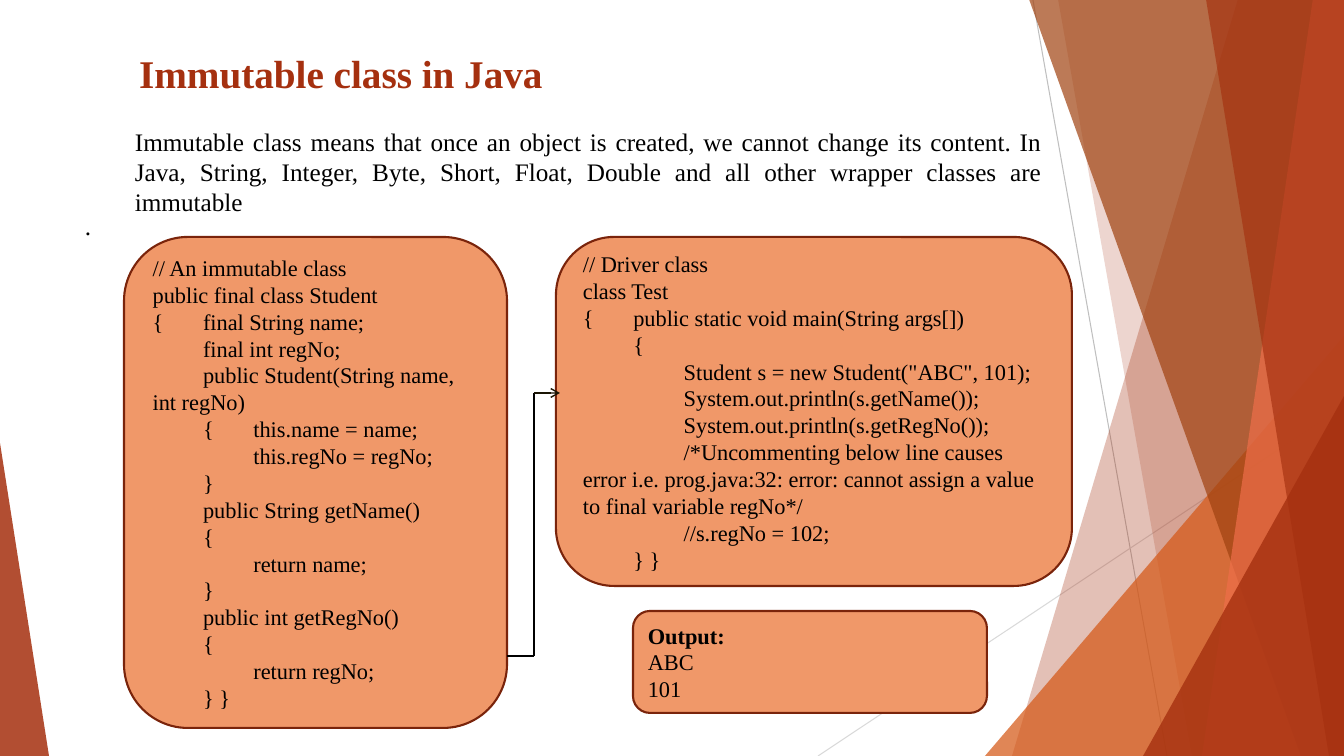
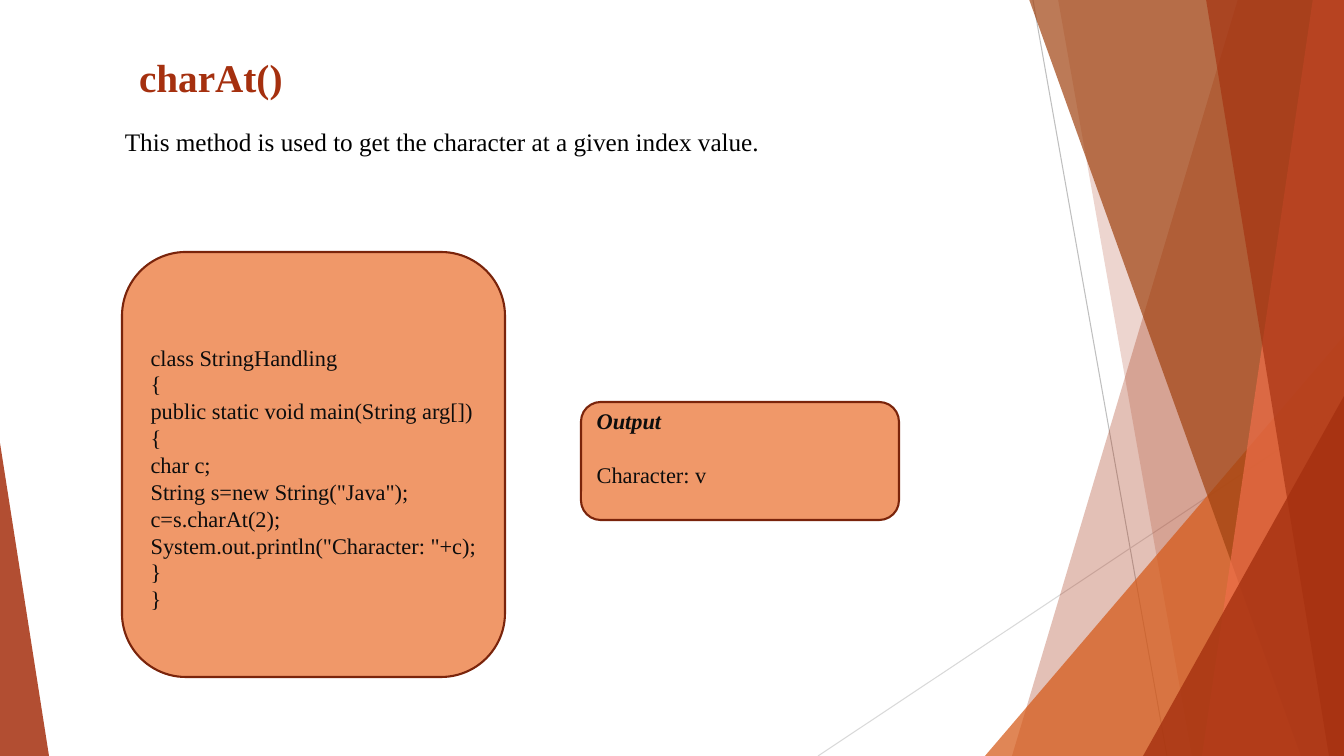
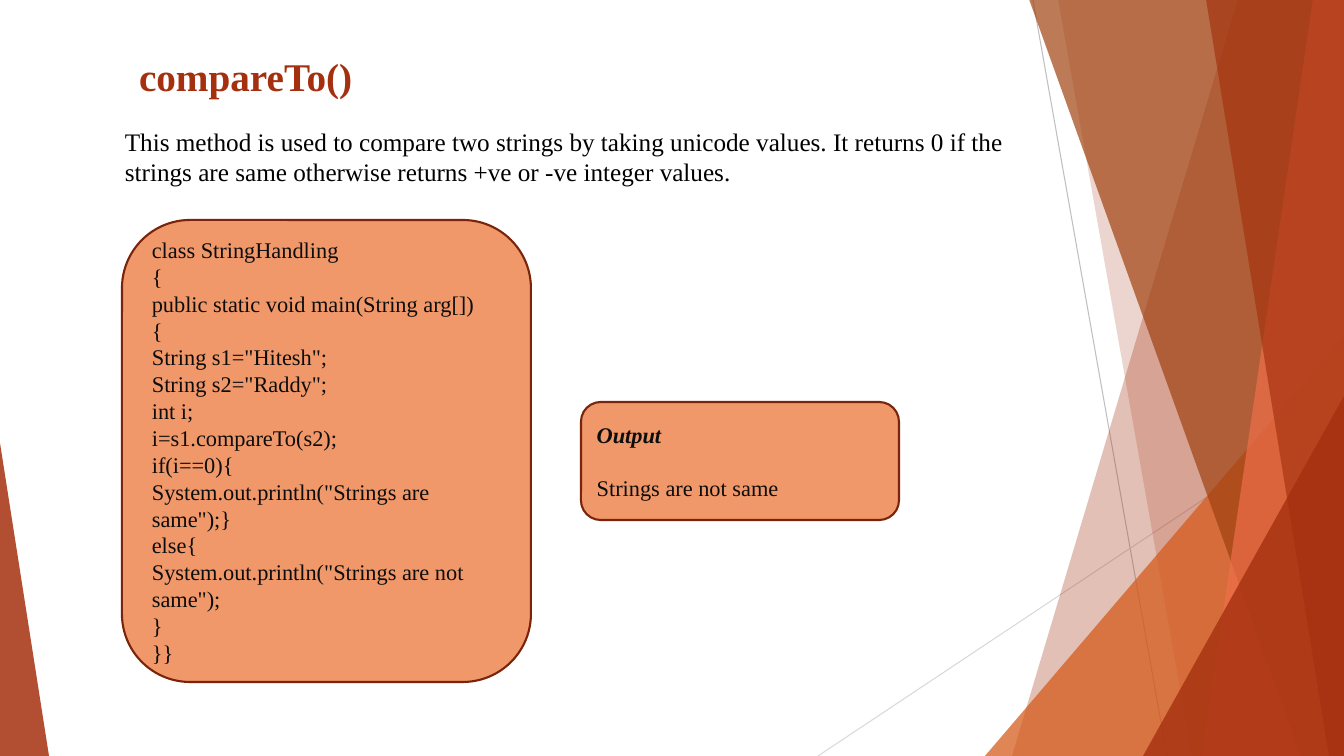
from dataclasses import dataclass

from lxml import etree
from pptx import Presentation
from pptx import util as u
from pptx.dml.color import RGBColor
from pptx.enum import shapes, text
from pptx.oxml.ns import qn

WIDTH, HEIGHT = 1344, 756
SCALE = 12192000 / WIDTH


def px(length):
    return u.Emu(round(length * SCALE))


@dataclass(frozen=True)
class Theme:
    font: str = "Times New Roman"
    accent: str = "A5300F"
    orange: str = "D55816"
    brown: str = "A04210"
    coral: str = "EE6E4A"
    panel: str = "F09869"
    panel_edge: str = "7A240B"
    black: str = "000000"
    ink: str = "0D0D0D"
    arrow: str = "1A1504"
    hairline: str = "BFBFBF"
    pale_hairline: str = "D9D9D9"
    title_size: int = 28
    intro_size: int = 18
    code_size: int = 16
    tab: int = 457200


class Deck:
    """Holds the style and the slide being filled."""

    def __init__(self, theme):
        self.theme = theme
        self.prs = Presentation()
        self.prs.slide_width, self.prs.slide_height = px(WIDTH), px(HEIGHT)
        self.layout = self.prs.slide_layouts[5]
        self.slide = None

    def new_slide(self):
        self.slide = self.prs.slides.add_slide(self.layout)

    def title(self, wording, top, width, height):
        heading = self.slide.shapes.title
        heading.left, heading.top = px(129), px(top)
        heading.width, heading.height = px(width), px(height)
        frame = heading.text_frame
        frame.word_wrap = True
        frame.auto_size = text.MSO_AUTO_SIZE.NONE
        frame.vertical_anchor = text.MSO_ANCHOR.TOP
        self.run(frame.paragraphs[0], wording, self.theme.title_size,
                 self.theme.accent, bold=True)

    def run(self, paragraph, wording, size, colour, bold=False, italic=False,
            align=text.PP_ALIGN.LEFT):
        paragraph.alignment = align
        piece = paragraph.add_run()
        piece.text = wording
        font = piece.font
        font.name, font.size = self.theme.font, u.Pt(size)
        font.bold, font.italic = bold, italic
        font.color.rgb = RGBColor.from_string(colour)

    def prose(self, wording, left, top, width, height, align=text.PP_ALIGN.LEFT):
        box = self.slide.shapes.add_textbox(px(left), px(top), px(width), px(height))
        box.text_frame.word_wrap = True
        self.run(box.text_frame.paragraphs[0], wording, self.theme.intro_size,
                 self.theme.black, align=align)

    def paint(self, shape, colour, opacity=100):
        shape.shadow.inherit = False
        shape.fill.solid()
        shape.fill.fore_color.rgb = RGBColor.from_string(colour)
        shape.line.fill.background()
        if opacity < 100:
            tint = shape.element.spPr.find(qn("a:solidFill")).find(qn("a:srgbClr"))
            etree.SubElement(tint, qn("a:alpha"), val=str(opacity * 1000))

    def panel(self, left, top, width, height, colour):
        """Add an empty rounded panel and return a function that adds a line to it."""
        box = self.slide.shapes.add_shape(shapes.MSO_SHAPE.ROUNDED_RECTANGLE,
                                          px(left), px(top), px(width), px(height))
        self.paint(box, self.theme.panel)
        box.line.color.rgb = RGBColor.from_string(self.theme.panel_edge)
        box.line.width = u.Pt(1.5)
        frame = box.text_frame
        frame.word_wrap = True
        frame.vertical_anchor = text.MSO_ANCHOR.MIDDLE
        unused = [frame.paragraphs[0]]

        def add_line(wording, **style):
            paragraph = unused.pop() if unused else frame.add_paragraph()
            self.run(paragraph, wording, self.theme.code_size, colour, **style)
            paragraph._p.get_or_add_pPr().set("defTabSz", str(self.theme.tab))
            return paragraph

        return frame, add_line

    def code(self, listing, left, top, width, height, colour, lowered=0):
        frame, add_line = self.panel(left, top, width, height, colour)
        frame.margin_top = px(5 + lowered)
        for line in listing.strip("\n").split("\n"):
            add_line(line)

    def output(self, result, raised=0):
        frame, add_line = self.panel(581, 402, 318, 118, self.theme.ink)
        frame.margin_bottom = px(5 + raised)
        add_line("Output", bold=True, italic=True)
        add_line(result).space_before = px(27)

    def line(self, start, end, colour, weight, arrow=False):
        rule = self.slide.shapes.add_connector(
            shapes.MSO_CONNECTOR.STRAIGHT, *map(px, start + end))
        rule.line.color.rgb = RGBColor.from_string(colour)
        rule.line.width = u.Pt(weight)
        if arrow:
            etree.SubElement(rule.line._get_or_add_ln(), qn("a:tailEnd"), type="arrow")
        etree.SubElement(rule.element.spPr, qn("a:effectLst"))

    def band(self, top_x, bottom_x, colour, opacity):
        """Fill from a slanted left edge to the right side of the slide."""
        outline = self.slide.shapes.build_freeform(top_x, -1, scale=SCALE)
        outline.add_line_segments(
            [(WIDTH, -1), (WIDTH, HEIGHT), (bottom_x, HEIGHT)], close=True)
        self.paint(outline.convert_to_shape(), colour, opacity)

    def corner(self, left, top, width, apex, colour, opacity):
        """Add a right triangle standing on the bottom edge; apex 0 left, 1 right."""
        wedge = self.slide.shapes.add_shape(
            shapes.MSO_SHAPE.ISOSCELES_TRIANGLE,
            px(left), px(top), px(width), px(HEIGHT - top))
        wedge.adjustments[0] = apex
        self.paint(wedge, colour, opacity)

    def backdrop(self):
        """Draw the shared facets on the current slide, then move them to the layout."""
        look = self.theme
        own = set(self.slide.shapes.element)
        self.line((1033, 0), (1167, HEIGHT), look.hairline, 0.75)
        self.line((WIDTH, 406), (818, HEIGHT), look.pale_hairline, 0.75)
        self.band(1238, 1012, look.accent, 30)
        self.band(1058, 1192, look.accent, 20)
        self.corner(985, 336, 359, 1, look.orange, 72)
        self.band(1029, 1301, look.brown, 70)
        self.band(1313, 1202, look.coral, 70)
        self.band(1206, 1329, look.accent, 65)
        self.corner(1143, 396, 201, 1, look.accent, 80)
        self.corner(0, 443, 49, 0, look.accent, 85)
        for facet in list(self.slide.shapes.element):
            if facet not in own:
                self.layout.shapes.element.append(facet)


STUDENT = """
// An immutable class
public final class Student
{ \tfinal String name;
\tfinal int regNo;
\tpublic Student(String name, int regNo)
\t{ \tthis.name = name;
\t\tthis.regNo = regNo;
\t}
\tpublic String getName()
\t{
\t\treturn name;
\t}
\tpublic int getRegNo()
\t{
\t\treturn regNo;
\t} }
"""

DRIVER = """
// Driver class
class Test
{ \tpublic static void main(String args[])
\t{
\t\tStudent s = new Student("ABC", 101);
\t\tSystem.out.println(s.getName());
\t\tSystem.out.println(s.getRegNo());
\t\t/*Uncommenting below line causes error i.e. prog.java:32: error: cannot assign a value to final variable regNo*/
\t\t//s.regNo = 102;
\t} }
"""

CHAR_AT = """
class StringHandling
{
public static void main(String arg[])
{
char c;
String s=new String("Java");
c=s.charAt(2);
System.out.println("Character: "+c);
}
}
"""

COMPARE_TO = """
class StringHandling
{
public static void main(String arg[])
{
String s1="Hitesh";
String s2="Raddy";
int i;
i=s1.compareTo(s2);
if(i==0){
System.out.println("Strings are same");}
else{
System.out.println("Strings are not same");
}
}}
"""


def immutable_slide(deck):
    look = deck.theme
    justify = text.PP_ALIGN.JUSTIFY
    deck.title("Immutable class in Java", 44, 916, 122)
    deck.prose(".", 75, 205, 970, 40, justify)
    deck.code(STUDENT, 124, 237, 383, 491, look.black)
    deck.prose("Immutable class means that once an object is created, we cannot change "
               "its content. In Java, String, Integer, Byte, Short, Float, Double and "
               "all other wrapper classes are immutable", 125, 121, 927, 102, justify)
    deck.code(DRIVER, 556, 237, 516, 349, look.black)
    deck.line((507, 656), (534, 656), look.black, 1)
    deck.line((534, 656), (534, 393), look.black, 1)
    deck.line((534, 393), (560, 393), look.arrow, 1, arrow=True)
    _, add_line = deck.panel(633, 611, 354, 102, look.black)
    add_line("Output:", bold=True)
    add_line("ABC")
    add_line("101")


def char_at_slide(deck):
    deck.title("charAt()", 48, 748, 52)
    deck.prose("This method is used to get the character at a given index value.",
               115, 121, 948, 41)
    deck.code(CHAR_AT, 122, 252, 383, 425, deck.theme.ink, lowered=27)
    deck.output("Character: v", raised=27)


def compare_to_slide(deck):
    deck.title("compareTo()", 47, 748, 54)
    deck.prose("This method is used to compare two strings by taking unicode values. "
               "It returns 0 if the strings are same otherwise returns +ve or -ve "
               "integer values.", 115, 121, 948, 71)
    deck.code(COMPARE_TO, 122, 220, 409, 462, deck.theme.ink)
    deck.output("Strings are not same")


def main():
    deck = Deck(Theme())
    for number, fill_slide in enumerate((immutable_slide, char_at_slide, compare_to_slide)):
        deck.new_slide()
        if number == 0:
            deck.backdrop()
        fill_slide(deck)
    deck.prs.save("out.pptx")


if __name__ == "__main__":
    main()
